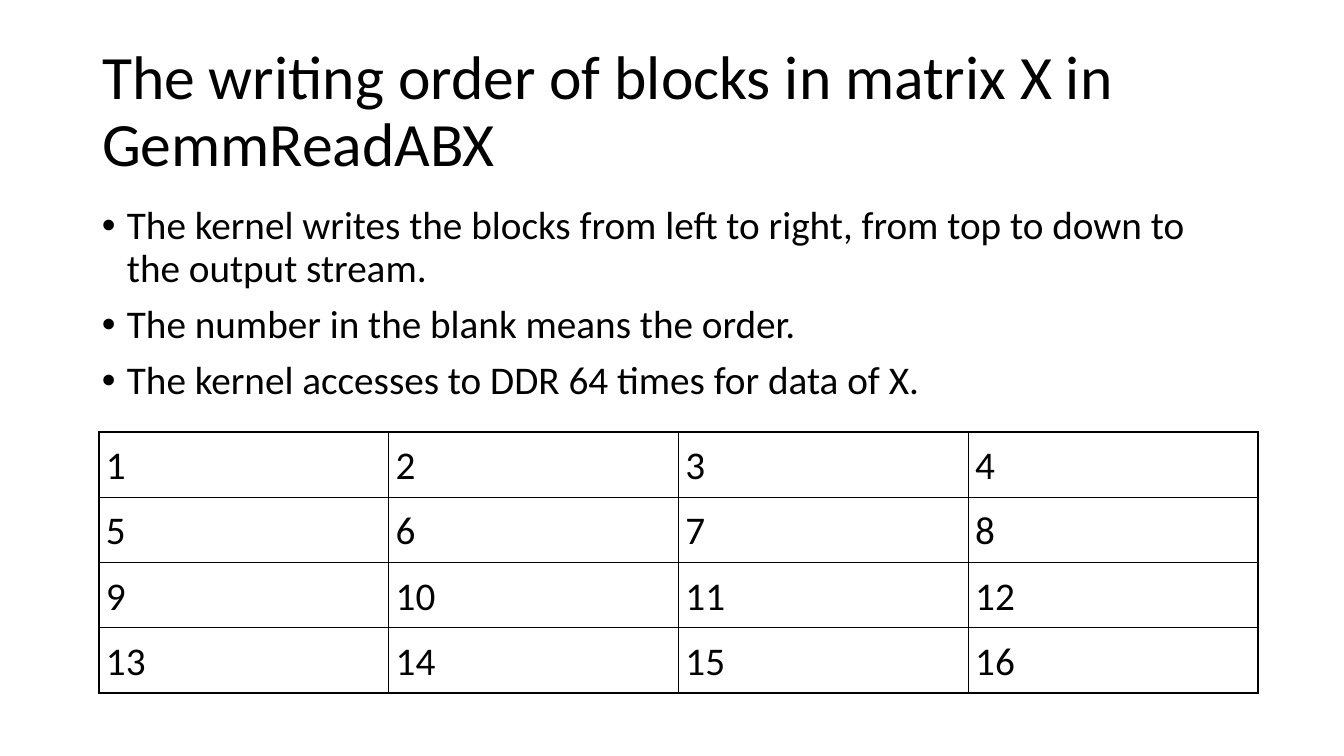
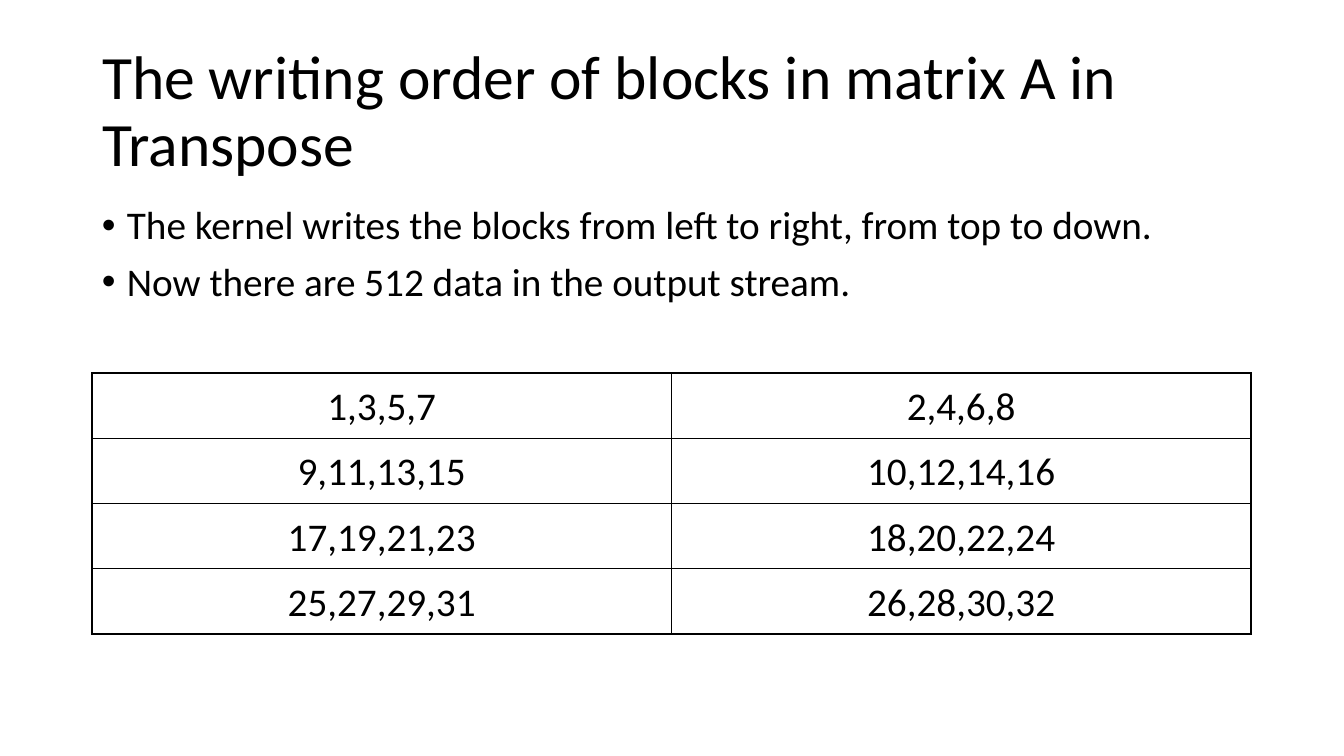
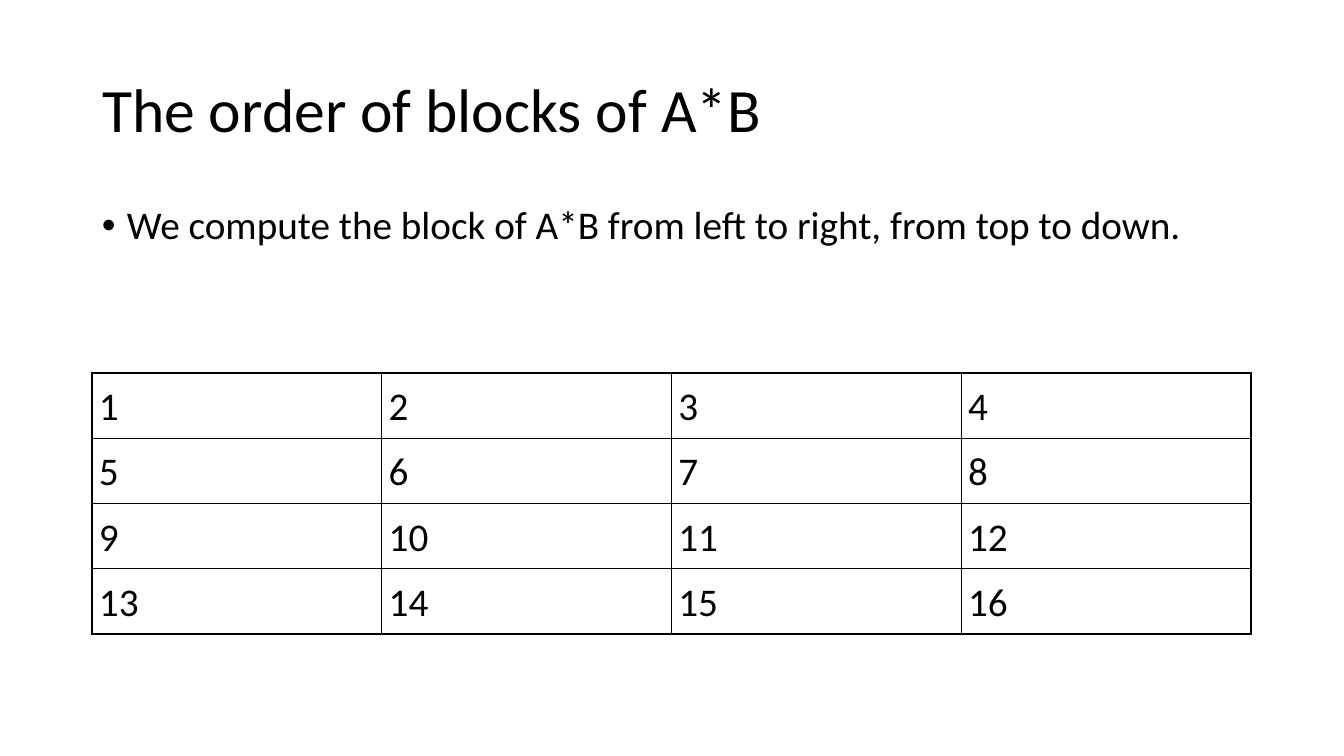
from dataclasses import dataclass
from typing import Any

from lxml import etree
from pptx import Presentation
from pptx import util as u
from pptx.dml.color import RGBColor
from pptx.enum import text
from pptx.oxml import ns

PX = 914400 / 100.8
SLIDE_WIDTH, SLIDE_HEIGHT = 1344, 756
LEFT, CONTENT_WIDTH = 92, 1159
TITLE_TOP, TITLE_HEIGHT = 40, 146
BODY_TOP, BODY_HEIGHT = 201, 480
ROW_HEIGHT, CELL_MARGIN, BULLET_INDENT = 65, 7, 25
INK = "000000"
FONT_NAME = "Calibri"
TITLE_SIZE, TEXT_SIZE = 44, 28
FRAME_FORMAT = {
    "word_wrap": True,
    "auto_size": text.MSO_AUTO_SIZE.NONE,
    "margin_left": u.Inches(0.1),
    "margin_right": u.Inches(0.1),
    "margin_top": u.Inches(0.05),
    "margin_bottom": u.Inches(0.05),
}
TITLE_FORMAT = {"alignment": text.PP_ALIGN.LEFT, "line_spacing": 0.9}


@dataclass(frozen=True)
class BlockOrder:
    """One slide: its title, its bullets and the grid of block numbers."""

    title: str
    bullets: list[str]
    rows: list[list[str]]
    table_left: int
    table_top: int
    alignment: Any = text.PP_ALIGN.LEFT


def px(length: float) -> int:
    """Turn pixels into EMU."""
    return round(length * PX)


def color(value: str) -> RGBColor:
    """Turn a hex string into a colour."""
    return RGBColor.from_string(value)


def apply_format(target: Any, values: dict[str, Any]) -> None:
    """Set each named attribute of the target."""
    for name, value in values.items():
        setattr(target, name, value)


def style_font(paragraph: Any, size: int) -> None:
    """Give a paragraph the shared font."""
    apply_format(paragraph.font, {"name": FONT_NAME, "size": u.Pt(size)})
    paragraph.font.color.rgb = color(INK)


def add_title(slide: Any, title: str) -> None:
    """Place and format the title placeholder."""
    shape = slide.shapes.title
    apply_format(shape, {"left": px(LEFT), "top": px(TITLE_TOP),
                         "width": px(CONTENT_WIDTH), "height": px(TITLE_HEIGHT)})
    apply_format(shape.text_frame, FRAME_FORMAT)
    shape.text_frame.vertical_anchor = text.MSO_ANCHOR.MIDDLE
    shape.text_frame.text = title
    paragraph = shape.text_frame.paragraphs[0]
    apply_format(paragraph, TITLE_FORMAT)
    style_font(paragraph, TITLE_SIZE)


def add_bullet(paragraph: Any) -> None:
    """Give a paragraph a hanging bullet."""
    properties = paragraph._p.get_or_add_pPr()
    properties.set("marL", str(px(BULLET_INDENT)))
    properties.set("indent", str(-px(BULLET_INDENT)))
    bullet_color = etree.SubElement(properties, ns.qn("a:buClr"))
    etree.SubElement(bullet_color, ns.qn("a:srgbClr"), val=INK)
    etree.SubElement(properties, ns.qn("a:buFont"), typeface="Arial")
    etree.SubElement(properties, ns.qn("a:buChar"), char="•")


def add_bullets(slide: Any, bullets: list[str]) -> None:
    """Write the bulleted lines under the title."""
    shape = slide.shapes.add_textbox(px(LEFT), px(BODY_TOP), px(CONTENT_WIDTH), px(BODY_HEIGHT))
    frame = shape.text_frame
    apply_format(frame, FRAME_FORMAT)
    frame.text = "\n".join(bullets)
    for index, paragraph in enumerate(frame.paragraphs):
        add_bullet(paragraph)
        apply_format(paragraph, {"line_spacing": 0.9, "space_before": u.Pt(10 if index else 0)})
        style_font(paragraph, TEXT_SIZE)


def add_borders(cell: Any) -> None:
    """Draw a thin line on all four sides of a cell."""
    properties = cell._tc.get_or_add_tcPr()
    for side in ("lnL", "lnR", "lnT", "lnB"):
        line = etree.SubElement(properties, ns.qn(f"a:{side}"), w=str(u.Pt(1)))
        fill = etree.SubElement(line, ns.qn("a:solidFill"))
        etree.SubElement(fill, ns.qn("a:srgbClr"), val=INK)


def add_grid(slide: Any, order: BlockOrder) -> None:
    """Add the table of block numbers with equal columns."""
    row_count, column_count = len(order.rows), len(order.rows[0])
    table = slide.shapes.add_table(
        row_count, column_count, px(order.table_left), px(order.table_top),
        px(CONTENT_WIDTH), px(ROW_HEIGHT * row_count)).table
    apply_format(table, {"first_row": False, "horz_banding": False})
    margins = {f"margin_{side}": px(CELL_MARGIN) for side in ("left", "right", "top", "bottom")}
    for cell, label in zip(table.iter_cells(), sum(order.rows, [])):
        apply_format(cell, margins)
        add_borders(cell)
        cell.fill.background()
        cell.text = label
        paragraph = cell.text_frame.paragraphs[0]
        apply_format(paragraph, {"alignment": order.alignment, "line_spacing": 1.07})
        style_font(paragraph, TEXT_SIZE)


SEQUENCE = [[str(4 * row + column + 1) for column in range(4)] for row in range(4)]
INTERLEAVED = [
    [",".join(map(str, range(8 * row + column + 1, 8 * row + 9, 2))) for column in range(2)]
    for row in range(4)
]
ORDERS = [
    BlockOrder(
        "The writing order of blocks in matrix X in GemmReadABX",
        ["The kernel writes the blocks from left to right, from top to down to the output stream.",
         "The number in the blank means the order.",
         "The kernel accesses to DDR 64 times for data of X."],
        SEQUENCE, 99, 432),
    BlockOrder(
        "The writing order of blocks in matrix A in Transpose",
        ["The kernel writes the blocks from left to right, from top to down.",
         "Now there are 512 data in the output stream."],
        INTERLEAVED, LEFT, 373, text.PP_ALIGN.CENTER),
    BlockOrder(
        "The order of blocks of A*B",
        ["We compute the block of A*B from left to right, from top to down."],
        SEQUENCE, LEFT, 373),
]


def main() -> None:
    """Build and save the presentation."""
    presentation = Presentation()
    apply_format(presentation, {"slide_width": px(SLIDE_WIDTH), "slide_height": px(SLIDE_HEIGHT)})
    title_only = presentation.slide_layouts.get_by_name("Title Only")
    for order in ORDERS:
        slide = presentation.slides.add_slide(title_only)
        add_title(slide, order.title)
        add_bullets(slide, order.bullets)
        add_grid(slide, order)
    presentation.save("out.pptx")


if __name__ == "__main__":
    main()
